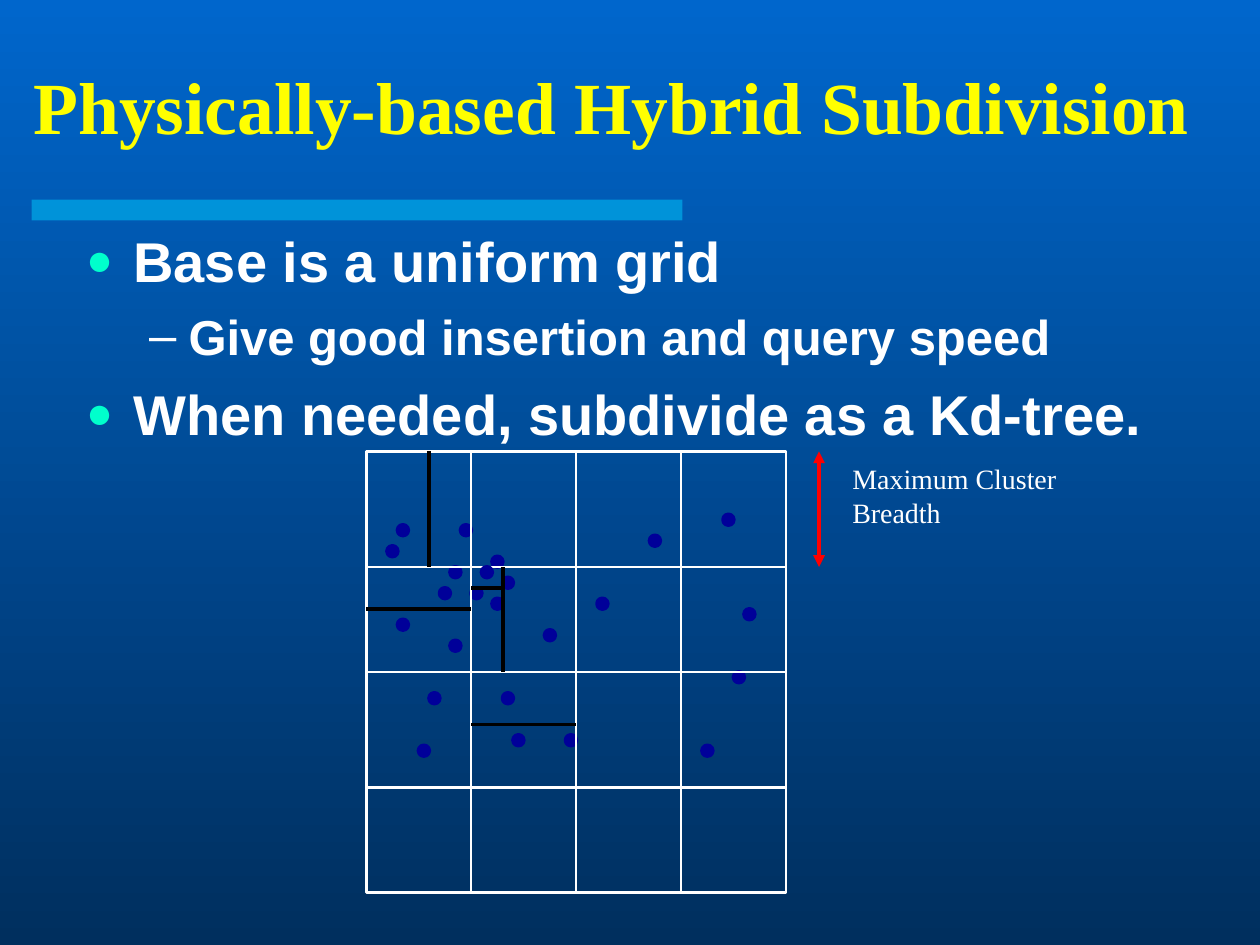
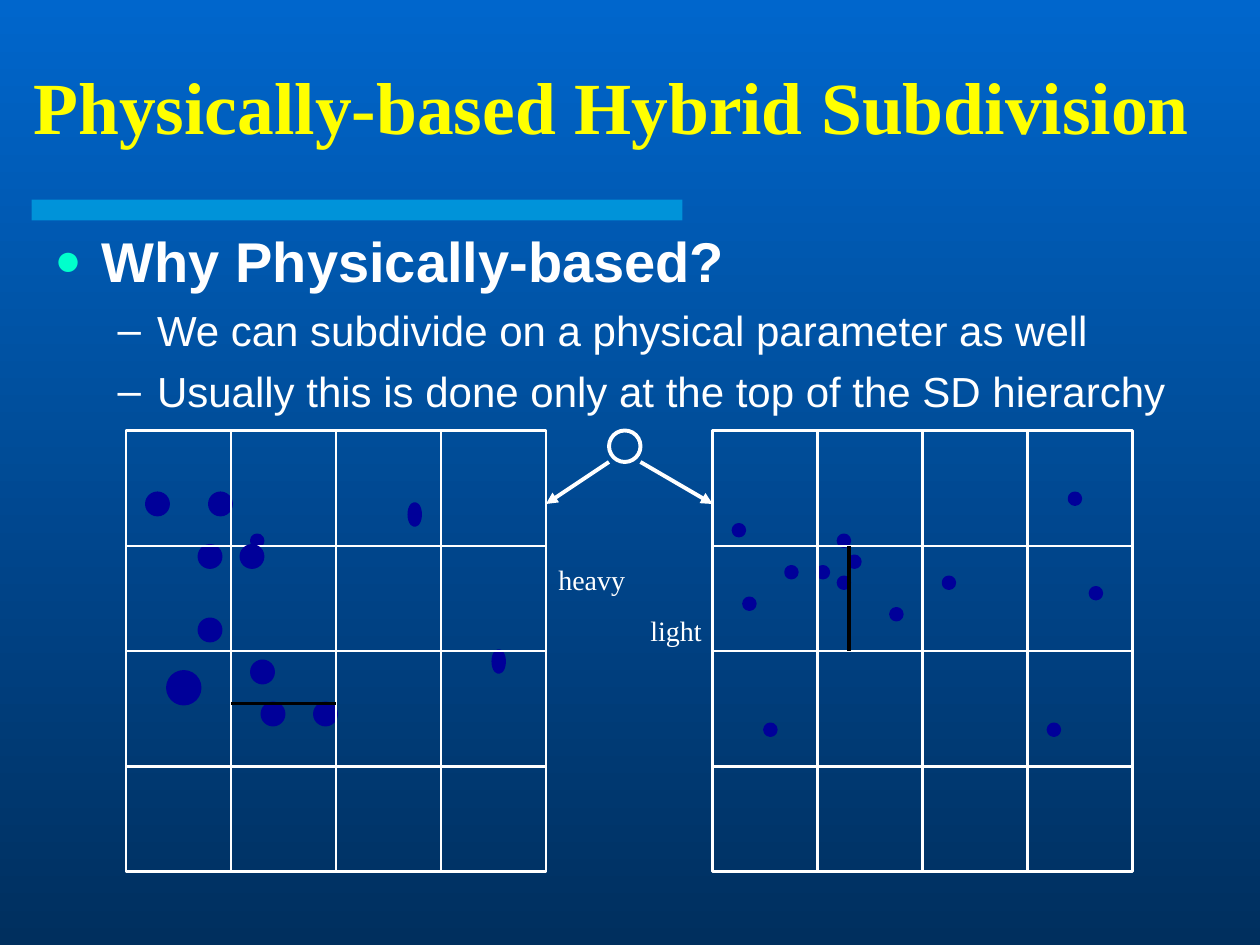
"""Build two slides about physically-based hybrid subdivision of space."""
from typing import NamedTuple

from lxml.etree import SubElement
from pptx import Presentation
from pptx.dml.color import RGBColor
from pptx.enum.shapes import MSO_CONNECTOR, MSO_SHAPE
from pptx.enum.text import MSO_ANCHOR, MSO_AUTO_SIZE, PP_ALIGN
from pptx.oxml.ns import qn
from pptx.util import Emu, Pt

PX = 9525
UNIT = 8
COLUMNS = (0, 10, 20, 30, 40)
ROWS = (0, 11, 21, 32, 42)
TOP, LEFT, BOTTOM, RIGHT = range(4)

RECTANGLE = MSO_SHAPE.RECTANGLE
OVAL = MSO_SHAPE.OVAL
STRAIGHT = MSO_CONNECTOR.STRAIGHT
ALIGN_LEFT = PP_ALIGN.LEFT
ALIGN_RIGHT = PP_ALIGN.RIGHT
MIDDLE = MSO_ANCHOR.MIDDLE
ANCHOR_TOP = MSO_ANCHOR.TOP
NO_AUTOFIT = MSO_AUTO_SIZE.NONE

SKY = RGBColor(0x00, 0x66, 0xCC)
DEEP = RGBColor(0x00, 0x2F, 0x5E)
CYAN = RGBColor(0x00, 0xCC, 0xFF)
YELLOW = RGBColor(0xFF, 0xFF, 0x00)
WHITE = RGBColor(0xFF, 0xFF, 0xFF)
MINT = RGBColor(0x00, 0xFF, 0xCC)
NAVY = RGBColor(0x00, 0x00, 0x99)
BLACK = RGBColor(0x00, 0x00, 0x00)
RED = RGBColor(0xFF, 0x00, 0x00)

SERIF = "Times New Roman"
SANS = "Arial"
TITLE = "Physically-based Hybrid Subdivision"


class Box(NamedTuple):
    left: int
    top: int
    width: int
    height: int


class Stroke(NamedTuple):
    color: RGBColor
    width: float
    head: bool = False
    tail: bool = False


class Bullet(NamedTuple):
    char: str
    color: RGBColor
    percent: int
    margin: int
    hanging: int


class Item(NamedTuple):
    text: str
    level: int
    size: int
    before: int
    bold: bool = True


class Dot(NamedTuple):
    column: int
    row: int
    width: int = 1
    height: int = 1


class Split(NamedTuple):
    start_column: int
    start_row: int
    end_column: int
    end_row: int


class Grid(NamedTuple):
    left: int
    top: int
    dots: list[Dot]
    front_dot: Dot | None
    splits: list[Split]


GRID_STROKE = Stroke(WHITE, 1.5)
DOT_STROKE = Stroke(NAVY, 2.25)
SPLIT_STROKE = Stroke(BLACK, 2.25)
NODE_STROKE = Stroke(WHITE, 2.25)
ARROW_STROKE = Stroke(WHITE, 2.25, tail=True)
BREADTH_STROKE = Stroke(RED, 2.25, head=True, tail=True)

BAND = Box(24, 152, 496, 16)
BULLETS = (Bullet("●", MINT, 80, 36, 36), Bullet("–", WHITE, 100, 78, 30))

UNIFORM_ITEMS = [
    Item("Base is a uniform grid", 0, 32, 8),
    Item("Give good insertion and query speed", 1, 28, 7),
    Item("When needed, subdivide as a Kd-tree.", 0, 32, 8),
]
PHYSICAL_ITEMS = [
    Item("Why Physically-based?", 0, 32, 8),
    Item("We can subdivide on a physical parameter as well", 1, 24, 6, False),
    Item("Usually this is done only at the top of the SD hierarchy", 1, 24, 6, False),
]

HYBRID_GRID = Grid(
    279, 344,
    [Dot(*spot) for spot in (
        (9, 7), (7, 13), (8, 11), (10, 13), (12, 10), (22, 14), (3, 7), (35, 21),
        (32, 28), (14, 27), (36, 15), (27, 8), (13, 12), (34, 6), (2, 9), (3, 16),
        (6, 23), (12, 14), (8, 18), (13, 23), (17, 17), (5, 28), (19, 27))],
    Dot(11, 11),
    [Split(10, 26, 20, 26), Split(6, 0, 6, 11), Split(0, 15, 10, 15),
     Split(13, 11, 13, 21), Split(10, 13, 13, 13)],
)
HEAVY_GRID = Grid(
    96, 328,
    [Dot(*spot) for spot in (
        (8, 6, 2, 2), (7, 11, 2, 2), (12, 10), (2, 6, 2, 2), (35, 21, 1, 2),
        (13, 26, 2, 2), (27, 7, 1, 2), (4, 23, 3, 3), (7, 18, 2, 2),
        (12, 22, 2, 2), (18, 26, 2, 2))],
    Dot(11, 11, 2, 2),
    [Split(10, 26, 20, 26)],
)
LIGHT_GRID = Grid(
    543, 328,
    [Dot(*spot) for spot in (
        (7, 13), (10, 13), (12, 10), (22, 14), (32, 28), (36, 15), (13, 12),
        (34, 6), (2, 9), (3, 16), (12, 14), (17, 17), (5, 28))],
    None,
    [Split(13, 11, 13, 21)],
)


def px(length: int) -> Emu:
    return Emu(length * PX)


def place(shape, box: Box) -> None:
    shape.left, shape.top, shape.width, shape.height = map(px, box)


def add_shape(page, kind, box: Box, fill: RGBColor | None, stroke: Stroke | None):
    shape = page.shapes.add_shape(kind, *map(px, box))
    shape.shadow.inherit = False
    if fill is None:
        shape.fill.background()
    else:
        shape.fill.solid()
        shape.fill.fore_color.rgb = fill
    if stroke is None:
        shape.line.fill.background()
    else:
        shape.line.color.rgb = stroke.color
        shape.line.width = Pt(stroke.width)
    return shape


def add_line(page, start: tuple[int, int], end: tuple[int, int], stroke: Stroke):
    line = page.shapes.add_connector(STRAIGHT, *map(px, start + end))
    line.line.color.rgb = stroke.color
    line.line.width = Pt(stroke.width)
    properties = line.element.spPr
    outline = properties.find(qn("a:ln"))
    for name, wanted in (("a:headEnd", stroke.head), ("a:tailEnd", stroke.tail)):
        if wanted:
            SubElement(outline, qn(name), type="triangle")
    SubElement(properties, qn("a:effectLst"))
    return line


def set_font(para, name: str, size: int, color: RGBColor, bold: bool = False) -> None:
    para.font.name = name
    para.font.size = Pt(size)
    para.font.bold = bold
    para.font.color.rgb = color


def set_bullet(para, bullet: Bullet) -> None:
    properties = para._p.get_or_add_pPr()
    properties.set("marL", str(px(bullet.margin)))
    properties.set("indent", str(px(-bullet.hanging)))
    color = SubElement(properties, qn("a:buClr"))
    SubElement(color, qn("a:srgbClr"), val=str(bullet.color))
    SubElement(properties, qn("a:buSzPct"), val=str(bullet.percent * 1000))
    SubElement(properties, qn("a:buFont"), typeface=SANS)
    SubElement(properties, qn("a:buChar"), char=bullet.char)


def add_page(deck, title_box: Box, body_box: Box, items: list[Item]):
    page = deck.slides.add_slide(deck.slide_layouts[1])
    band = add_shape(page, RECTANGLE, BAND, CYAN, None)
    band_color = band.element.spPr.find(qn("a:solidFill"))[0]
    SubElement(band_color, qn("a:alpha"), val="50000")

    title = page.shapes.title
    place(title, title_box)
    title.text_frame.text = TITLE
    title.text_frame.auto_size = NO_AUTOFIT
    title.text_frame.vertical_anchor = MIDDLE
    heading = title.text_frame.paragraphs[0]
    heading.alignment = ALIGN_LEFT
    set_font(heading, SERIF, 42, YELLOW, True)

    body = page.placeholders[1]
    place(body, body_box)
    frame = body.text_frame
    frame.text = "\n".join(item.text for item in items)
    frame.auto_size = NO_AUTOFIT
    frame.vertical_anchor = ANCHOR_TOP
    for index, (para, item) in enumerate(zip(frame.paragraphs, items)):
        para.level = item.level
        set_bullet(para, BULLETS[item.level])
        para.space_before = Pt(item.before if index else 0)
        set_font(para, SANS, item.size, WHITE, item.bold)
    return page


def add_label(page, box: Box, lines: dict[str, PP_ALIGN]) -> None:
    label = page.shapes.add_textbox(*map(px, box))
    frame = label.text_frame
    frame.word_wrap = True
    frame.text = "\n".join(lines)
    for index, (para, alignment) in enumerate(zip(frame.paragraphs, lines.values())):
        para.alignment = alignment
        if index:
            para.space_before = Pt(10)
        set_font(para, SERIF, 16, WHITE)


def add_grid(page, grid: Grid) -> None:
    def at(column: int, row: int) -> tuple[int, int]:
        return grid.left + column * UNIT, grid.top + row * UNIT

    def add_dot(dot: Dot) -> None:
        box = Box(*at(dot.column, dot.row), dot.width * UNIT, dot.height * UNIT)
        add_shape(page, OVAL, box, NAVY, DOT_STROKE)

    for dot in grid.dots:
        add_dot(dot)
    width, height = COLUMNS[-1], ROWS[-1]
    frame_box = Box(grid.left, grid.top, width * UNIT, height * UNIT)
    frame = add_shape(page, RECTANGLE, frame_box, None, GRID_STROKE)
    for column in COLUMNS[1:-1]:
        line = add_line(page, at(column, 0), at(column, height), GRID_STROKE)
        if column * 2 == width:
            line.begin_connect(frame, TOP)
            line.end_connect(frame, BOTTOM)
    for row in ROWS[1:-1]:
        line = add_line(page, at(0, row), at(width, row), GRID_STROKE)
        if row * 2 == height:
            line.begin_connect(frame, LEFT)
            line.end_connect(frame, RIGHT)
    if grid.front_dot:
        add_dot(grid.front_dot)
    for split in grid.splits:
        add_line(page, at(*split[:2]), at(*split[2:]), SPLIT_STROKE)


def main() -> None:
    deck = Presentation()
    deck.slide_width, deck.slide_height = px(960), px(720)
    backdrop = deck.slide_master.background.fill
    backdrop.gradient()
    backdrop.gradient_angle = 270
    for stop, color in zip(backdrop.gradient_stops, (SKY, DEEP)):
        stop.color.rgb = color

    page = add_page(deck, Box(16, 32, 928, 96), Box(56, 168, 873, 432), UNIFORM_ITEMS)
    add_grid(page, HYBRID_GRID)
    add_line(page, (624, 344), (624, 432), BREADTH_STROKE)
    add_label(page, Box(640, 347, 184, 61), {"Maximum Cluster Breadth": ALIGN_LEFT})

    page = add_page(deck, Box(16, 32, 912, 96), Box(32, 168, 896, 432), PHYSICAL_ITEMS)
    add_grid(page, HEAVY_GRID)
    add_grid(page, LIGHT_GRID)
    add_shape(page, OVAL, Box(464, 328, 24, 24), None, NODE_STROKE)
    add_line(page, (488, 352), (543, 384), ARROW_STROKE)
    add_line(page, (464, 352), (416, 384), ARROW_STROKE)
    add_label(page, Box(416, 424, 128, 74), {"heavy": ALIGN_LEFT, "light": ALIGN_RIGHT})
    deck.save("out.pptx")


if __name__ == "__main__":
    main()
